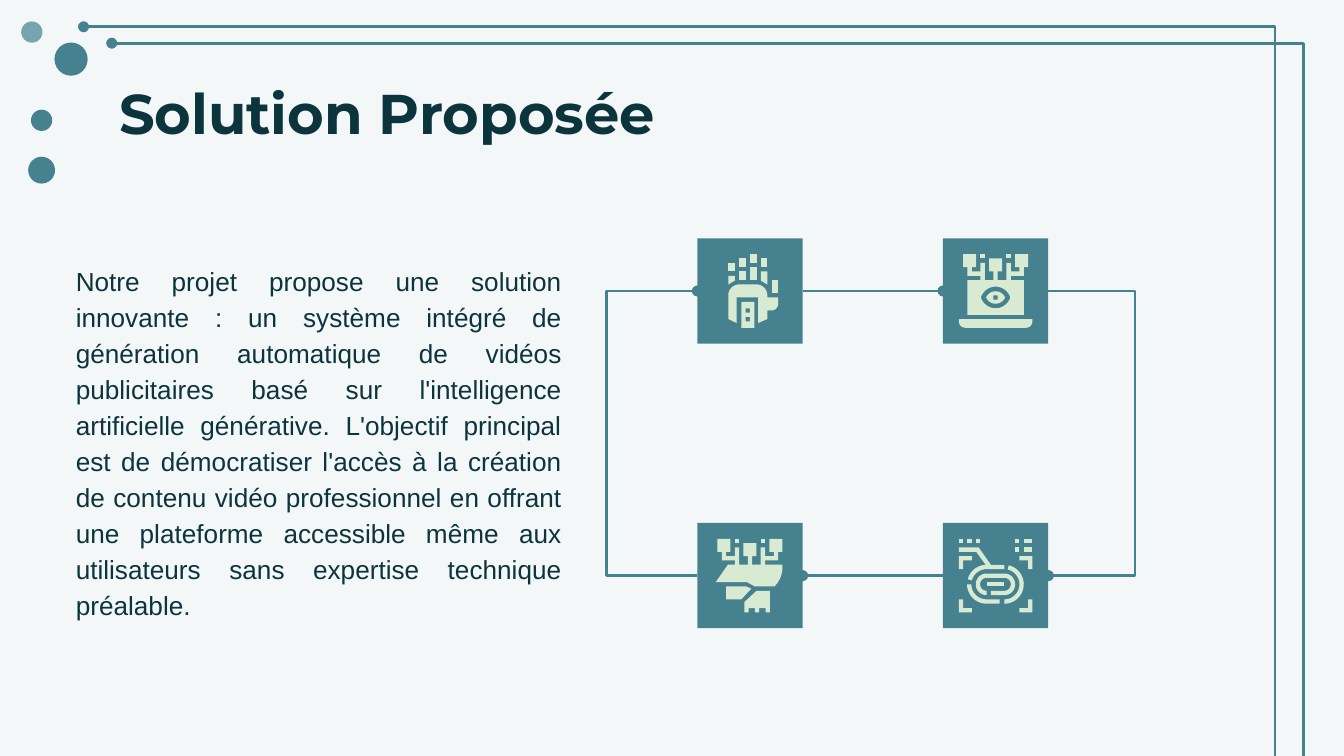
import math

from lxml import etree
from pptx import Presentation, util as u
from pptx.dml.color import RGBColor
from pptx.enum import shapes, text
from pptx.oxml.ns import qn

TEAL, PALE_TEAL, INK, MINT, PAPER = "45818E", "76A5AF", "0C343D", "D9EAD3", "F3F7F8"
TILE = 56.4
LEFT, RIGHT, TOP, BOTTOM = 373.6, 505.2, 127.7, 280.2  # tile columns and rows
GRID = 17  # an icon is drawn on a grid of 17 by 17 cells
CELL = 2.32
INSET = (TILE - GRID * CELL) / 2


def color(value):
    return RGBColor.from_string(value)


# Outlines, in grid cells. A part is a list of outlines; an icon is a list of parts.
def block(x, y, w=1, h=1):
    return [(x, y), (x + w, y), (x + w, y + h), (x, y + h)]


def arc(cx, cy, radius, start, end, steps=16):
    """Points on a circle; angles in degrees, 0 to the right and 90 down."""
    angles = [math.radians(start + (end - start) * i / steps) for i in range(steps + 1)]
    return [(cx + radius * math.cos(a), cy + radius * math.sin(a)) for a in angles]


def lens(cx, cy, half_width, half_height):
    """An almond made of two arcs that meet at its left and right tips."""
    radius = (half_width ** 2 + half_height ** 2) / (2 * half_height)
    sweep = math.degrees(math.asin(half_width / radius))
    drop = radius - half_height
    return (arc(cx, cy + drop, radius, 270 - sweep, 270 + sweep)
            + arc(cx, cy - drop, radius, 90 - sweep, 90 + sweep))


def mirror(outline, x=None, y=None):
    """Reflect in a line; x or y is the full width or height between the two sides."""
    return [(px if x is None else x - px, py if y is None else y - py) for px, py in outline]


def circuit():
    """Three square nodes wired down to the body below them."""
    node, drop, wire, post = block(1, 0, 3, 3), block(2, 3, 1, 2), block(3, 4, 2), block(5, 2, 1, 4)
    side = [node, drop, wire, post]
    centre = [block(7, 1, 3, 3), block(8, 4, 1, 2)]
    return side + [mirror(outline, x=GRID) for outline in side] + centre


def circuit_dots():
    return [[block(5, 0)], [block(11, 0)]]


def head_icon():
    parts = []
    # Pixel columns: left edge, top, then the two lower corners
    for x, top, foot_left, foot_right in ((3.5, 2, 7, 6.1), (6, 1, 6, 6),
                                          (8.5, 0, 6, 6), (11, 1, 6.1, 7)):
        parts.append([block(x, top, 1.5, 2)])
        parts.append([[(x, top + 3), (x + 1.5, top + 3), (x + 1.5, foot_right), (x, foot_left)]])
    ear = block(13.5, 6, 1.5, 3)
    door, windows = block(6.5, 11, 3, 6), [block(7.5, y) for y in (12.5, 14.5)]
    dome = arc(6, 9.5, 2.5, 180, 270) + arc(10, 9.5, 2.5, 270, 360)
    jaw = [(12.5, 10), (15, 10)] + arc(13.5, 11.5, 1.5, 0, 90) + [(12.5, 13), (12.5, 15)]
    doorway = [(10.4, 15.9), (10.4, 10), (5.4, 10), (5.4, 15.9)]
    return parts + [[ear], [door] + windows, [dome + jaw + doorway + [(3.5, 15)]]]


def laptop_icon():
    screen, eye = block(2, 6, 13, 8), lens(8.5, 10, 3.4, 2.5)
    iris, pupil = lens(8.5, 10, 2.2, 1.45), block(8, 9.5)
    base = [(0, 15)] + arc(1.5, 15.5, 1.5, 180, 90) + arc(15.5, 15.5, 1.5, 90, 0) + [(17, 15)]
    return circuit_dots() + [circuit() + [screen, eye], [iris, pupil], [base]]


def hands_icon():
    upper_hand = ([(3.4, 6), (0.6, 10), (7.8, 10), (9.6, 11)]
                  + arc(9.8, 6.6, 6.2, 45, 0) + [(16, 6)])
    cuff = [(3, 11), (3, 14), (6.5, 14), (8.8, 11.5), (7.6, 11)]
    lower_hand = [(13.1, 12), (10, 12), (7.2, 14.6), (7.2, 17)]
    for start, end in ((8.2, 9.6), (10.6, 12.1)):  # gaps between the fingers
        lower_hand += [(start, 17), (start, 16), (end, 16), (end, 17)]
    lower_hand.append((13.1, 17))
    return circuit_dots() + [circuit() + [upper_hand], [cuff], [lower_hand]]


def fingerprint_icon():
    corner = [(14, 4), (17, 4), (17, 7), (16, 7), (16, 5), (14, 5)]
    frame = [[mirror(corner, x, y)] for x in (None, GRID) for y in (None, 21)]
    dots = [[block(x, 0)] for x in (0, 2, 4)]
    dots += [[block(x, y, w)] for y in (0, 2) for x, w in ((13, 1), (15, 2))]
    # Ridges are one cell thick and turn about two centres on one level
    left, right, level = 6.4, 10.5, 10.5
    inner, outer = (1.5, 2.5), (3.5, 4.5)
    bar = block(left, level - 0.5, right - left)
    loop = (arc(left, level, inner[1], 270, 90) + arc(left, level, inner[0], 90, 270)
            + arc(right, level, inner[0], -90, 90) + [(7.4, 12), (7.4, 13)]
            + arc(right, level, inner[1], 90, -90))
    right_ridge = arc(right, level, outer[1], -77, 90) + arc(right, level, outer[0], 90, -77)
    lower_ridge = (arc(left, level, outer[1], 180, 90) + [(9.4, 15), (9.4, 14)]
                   + arc(left, level, outer[0], 90, 180))
    upper_ridge = (arc(left, level, outer[1], 270, 195) + arc(left, level, outer[0], 195, 270)
                   + [(10.5, 7), (10.5, 6), (7.4, 6)])
    lead = [(4.6, 2), (0, 2), (0, 3), (4, 3), (6.2, 6)]
    return frame + dots + [[bar], [loop], [right_ridge], [lower_ridge], [upper_ridge + lead]]


def write(box, content, align=text.PP_ALIGN.LEFT, size=14, font="Arial",
          bold=False, spacing=1.0, margin=0):
    para = box.text_frame.paragraphs[0]
    para.alignment, para.line_spacing = align, spacing
    props = para._p.get_or_add_pPr()
    props.set("marL", str(u.Pt(margin)))
    props.set("indent", "0")
    span = para.add_run()
    span.text = content
    span.font.size, span.font.name, span.font.bold = u.Pt(size), font, bold
    span.font.color.rgb = color(INK)


class Painter:
    """Holds the current slide and the line and text style used on it."""

    def __init__(self, page, line_width=1.5, padding=7.2):
        self.page, self.line_width, self.padding = page, line_width, padding

    def finish(self, shape, fill):
        shape.shadow.inherit = False
        shape.fill.solid()
        shape.fill.fore_color.rgb = color(fill)
        shape.line.fill.background()
        return shape

    def shape(self, kind, x, y, size, fill=TEAL):
        shape = self.page.shapes.add_shape(kind, u.Pt(x), u.Pt(y), u.Pt(size), u.Pt(size))
        return self.finish(shape, fill)

    def text_box(self, x, y, w, h, content, **style):
        box = self.page.shapes.add_textbox(u.Pt(x), u.Pt(y), u.Pt(w), u.Pt(h))
        frame = box.text_frame
        frame.word_wrap = True
        frame.margin_left = frame.margin_right = u.Pt(self.padding)
        frame.margin_top = frame.margin_bottom = u.Pt(self.padding)
        write(box, content, **style)

    def connector(self, start, end, kind=shapes.MSO_CONNECTOR.STRAIGHT, oval="tailEnd"):
        line = self.page.shapes.add_connector(kind, *(u.Pt(v) for v in (*start, *end)))
        line.line.color.rgb = color(TEAL)
        line.line.width = u.Pt(self.line_width)
        props = line._element.spPr
        etree.SubElement(props.find(qn("a:ln")), qn("a:" + oval), type="oval")
        etree.SubElement(props, qn("a:effectLst"))
        return line

    def elbow(self, start, end, reach, oval="tailEnd"):
        """Bend at a distance from the start: positive towards the end, negative away."""
        line = self.connector(start, end, shapes.MSO_CONNECTOR.ELBOW, oval)
        # The format stores the bend in 1/100000 of the connector's width
        bend = round(100000 * reach / abs(end[0] - start[0]))
        guides = line._element.spPr.find(qn("a:prstGeom")).find(qn("a:avLst"))
        etree.SubElement(guides, qn("a:gd"), name="adj1", fmla=f"val {bend}")

    def icon(self, tile_x, tile_y, parts):
        group = self.page.shapes.add_group_shape()
        for part in parts:
            builder = None
            for outline in part:
                first, *rest = [(u.Pt(tile_x + INSET + x * CELL), u.Pt(tile_y + INSET + y * CELL))
                                for x, y in outline]
                if builder is None:
                    builder = group.shapes.build_freeform(*first)
                else:
                    builder.move_to(*first)
                builder.add_line_segments(rest, close=True)
            self.finish(builder.convert_to_shape(), MINT)


def main():
    deck = Presentation()
    deck.slide_width, deck.slide_height = u.Pt(720), u.Pt(405)
    page = deck.slides.add_slide(deck.slide_layouts[6])
    page.background.fill.solid()
    page.background.fill.fore_color.rgb = color(PAPER)
    paint = Painter(page)

    # Corner dots and frame lines
    for x, y, size, fill in ((11.4, 11.5, 11.4, PALE_TEAL), (15.1, 84, 14.4, TEAL),
                             (16.6, 58.8, 11.4, TEAL), (29.2, 22.8, 17.8, TEAL)):
        paint.shape(shapes.MSO_SHAPE.OVAL, x, y, size, fill)
    frame_width, frame_height = 675.4, 403.2
    for x, y in ((44.8, 14.4), (59.9, 23.2)):
        paint.elbow((x + frame_width, y + frame_height), (x, y), reach=37)

    # Title and body
    paint.text_box(56.7, 34.7, 607, 45.4, "Solution Proposée",
                   size=30, font="Montserrat", bold=True)
    paint.text_box(22.5, 132.5, 285.6, 142.6,
                   "Notre projet propose une solution innovante : un système intégré de "
                   "génération automatique de vidéos publicitaires basé sur l'intelligence "
                   "artificielle générative. L'objectif principal est de démocratiser l'accès "
                   "à la création de contenu vidéo professionnel en offrant une plateforme "
                   "accessible même aux utilisateurs sans expertise technique préalable.",
                   align=text.PP_ALIGN.JUSTIFY, spacing=1.15, margin=11)

    # Tiles, each with its icon
    icons = {(LEFT, TOP): head_icon, (RIGHT, TOP): laptop_icon,
             (LEFT, BOTTOM): hands_icon, (RIGHT, BOTTOM): fingerprint_icon}
    tiles = {place: paint.shape(shapes.MSO_SHAPE.RECTANGLE, *place, TILE) for place in icons}

    # Straight links along the rows, clockwise
    left_side, right_side = 1, 3
    for y, start, end, exit_side, entry_side in ((TOP, LEFT, RIGHT, right_side, left_side),
                                                 (BOTTOM, RIGHT, LEFT, left_side, right_side)):
        link = paint.connector((start, y), (end, y))
        link.begin_connect(tiles[start, y], exit_side)
        link.end_connect(tiles[end, y], entry_side)

    # Brackets between the rows; a bend needs some width, so the ends differ by a sliver
    sliver = 0.05
    for x, reach, oval in ((RIGHT + TILE, 41, "tailEnd"), (LEFT, -42.8, "headEnd")):
        paint.elbow((x, TOP + TILE / 2), (x + sliver, BOTTOM + TILE / 2), reach, oval)

    for place, draw_parts in icons.items():
        paint.icon(*place, draw_parts())
    deck.save("out.pptx")


if __name__ == "__main__":
    main()
